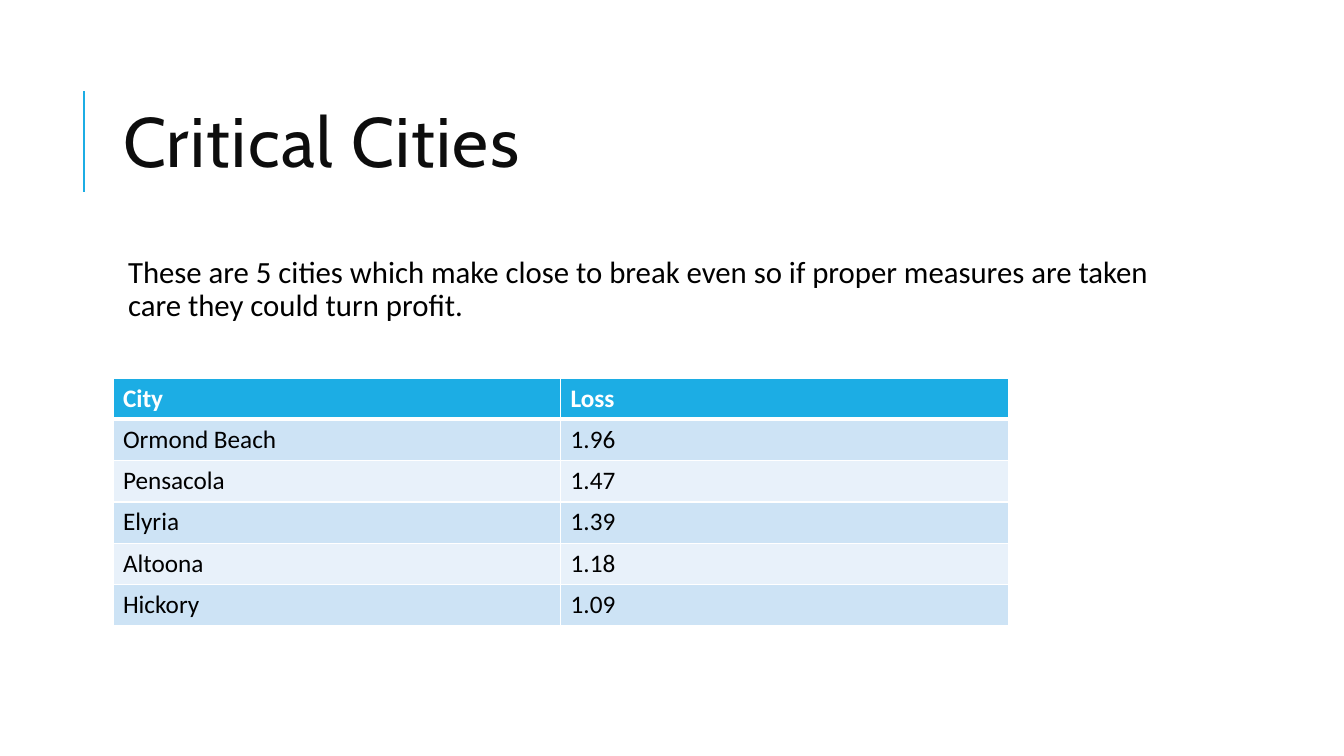
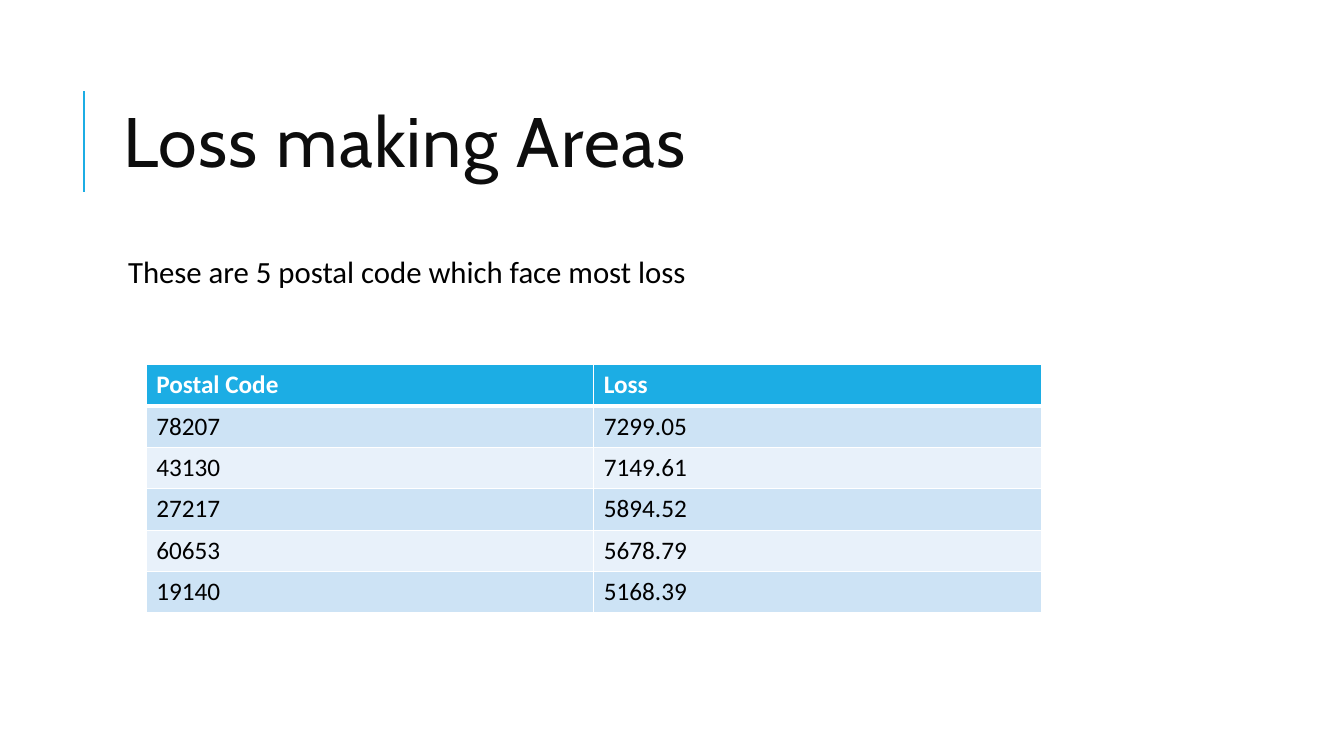
from dataclasses import dataclass

from pptx import Presentation
from pptx import util as u
from pptx.dml.color import RGBColor
from pptx.enum import shapes, text
from pptx.oxml.ns import qn
from lxml import etree

SLIDES = [
    {
        "title": "Critical Cities",
        "body": "These are 5 cities which make close to break even so if proper "
                "measures are taken care they could turn profit.",
        "table_at": (112, 375),
        "rows": [
            ("City", "Loss"),
            ("Ormond Beach", "1.96"),
            ("Pensacola", "1.47"),
            ("Elyria", "1.39"),
            ("Altoona", "1.18"),
            ("Hickory", "1.09"),
        ],
    },
    {
        "title": "Loss making Areas",
        "body": "These are 5 postal code which face most loss",
        "table_at": (145, 362),
        "rows": [
            ("Postal Code", "Loss"),
            ("78207", "7299.05"),
            ("43130", "7149.61"),
            ("27217", "5894.52"),
            ("60653", "5678.79"),
            ("19140", "5168.39"),
        ],
    },
]


@dataclass(frozen=True)
class Theme:
    accent: str = "1CADE4"
    title: str = "0D0D0D"
    ink: str = "000000"
    paper: str = "FFFFFF"
    bands: tuple = ("CDE3F5", "E8F1FA")
    title_font: str = "Cabin"
    body_font: str = "Calibri"
    title_size: int = 50
    body_size: int = 22
    table_size: int = 18


THEME = Theme()
PX = 9144
SLIDE_SIZE = (1333, 750)
TITLE_BOX = (112, 64, 1063, 164)
BODY_BOX = (112, 250, 1063, 440)
RULE = (83, 190, 83, 90)
COLUMN_WIDTH, ROW_HEIGHT = 444, 41
BODY_INSET, BULLET_INDENT = 5, 10


def px(*lengths):
    return [u.Emu(length * PX) for length in lengths]


def set_font(paragraph, name, size, color, bold=False):
    font = paragraph.font
    font.name, font.size, font.bold = name, u.Pt(size), bold
    font.color.rgb = RGBColor.from_string(color)


def place(shape, box):
    shape.left, shape.top, shape.width, shape.height = px(*box)
    frame = shape.text_frame
    frame.word_wrap = True
    frame.auto_size = text.MSO_AUTO_SIZE.NONE
    return frame


def add_rule(slide):
    line = slide.shapes.add_connector(shapes.MSO_CONNECTOR.STRAIGHT, *px(*RULE))
    line.line.color.rgb = RGBColor.from_string(THEME.accent)
    line.line.width = u.Pt(1.5)
    etree.SubElement(line.element.spPr, qn("a:effectLst"))


def fill_title(shape, words):
    frame = place(shape, TITLE_BOX)
    frame.vertical_anchor = text.MSO_ANCHOR.MIDDLE
    frame.text = words
    paragraph = frame.paragraphs[0]
    paragraph.alignment = text.PP_ALIGN.LEFT
    paragraph.line_spacing = 0.8
    set_font(paragraph, THEME.title_font, THEME.title_size, THEME.title)
    paragraph._p.pPr.find(qn("a:defRPr")).set("spc", "100")


def fill_body(shape, words):
    frame = place(shape, BODY_BOX)
    inset, indent = px(BODY_INSET, BULLET_INDENT)
    frame.margin_left = frame.margin_right = inset
    frame.margin_top = frame.margin_bottom = inset
    frame.text = words
    paragraph = frame.paragraphs[0]
    properties = paragraph._p.get_or_add_pPr()
    properties.set("marL", str(indent))
    properties.set("indent", str(-indent))
    bullet_color = etree.SubElement(properties, qn("a:buClr"))
    etree.SubElement(bullet_color, qn("a:srgbClr"), val=THEME.accent)
    etree.SubElement(properties, qn("a:buChar"), char=" ")
    paragraph.line_spacing = 0.9
    paragraph.space_before = u.Pt(0)
    paragraph.space_after = u.Pt(2)
    set_font(paragraph, THEME.body_font, THEME.body_size, THEME.ink)


def set_borders(cell, widths):
    properties = cell._tc.get_or_add_tcPr()
    for side, width in widths.items():
        border = etree.SubElement(properties, qn(f"a:ln{side}"), w=str(u.Pt(width)))
        fill = etree.SubElement(border, qn("a:solidFill"))
        etree.SubElement(fill, qn("a:srgbClr"), val=THEME.paper)


def add_table(slide, corner, rows):
    size = (COLUMN_WIDTH * len(rows[0]), ROW_HEIGHT * len(rows))
    table = slide.shapes.add_table(len(rows), len(rows[0]), *px(*corner, *size)).table
    for row_index, row in enumerate(rows):
        header = row_index == 0
        fill = THEME.accent if header else THEME.bands[(row_index - 1) % 2]
        widths = {"L": 1, "R": 1, "T": 3 if row_index == 1 else 1, "B": 3 if header else 1}
        for column_index, words in enumerate(row):
            cell = table.cell(row_index, column_index)
            cell.text = words
            set_font(cell.text_frame.paragraphs[0], THEME.body_font, THEME.table_size,
                     THEME.paper if header else THEME.ink, header)
            set_borders(cell, widths)
            cell.fill.solid()
            cell.fill.fore_color.rgb = RGBColor.from_string(fill)


def main():
    presentation = Presentation()
    presentation.slide_width, presentation.slide_height = px(*SLIDE_SIZE)
    for content in SLIDES:
        slide = presentation.slides.add_slide(presentation.slide_layouts[1])
        add_rule(slide)
        fill_title(slide.shapes.title, content["title"])
        fill_body(slide.placeholders[1], content["body"])
        add_table(slide, content["table_at"], content["rows"])
    presentation.save("out.pptx")


if __name__ == "__main__":
    main()
